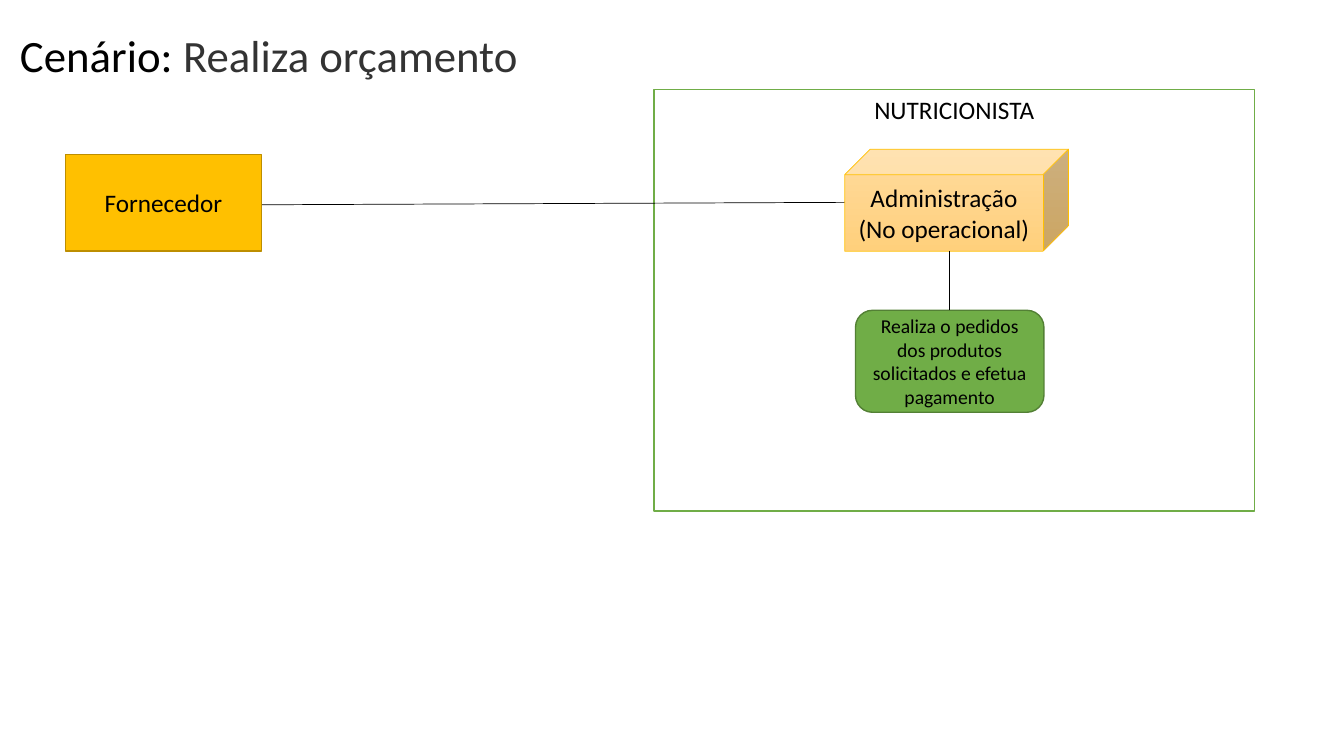
"""Build the slide for the "Realiza orçamento" scenario."""
from lxml import etree
from pptx import Presentation
from pptx import util as u
from pptx.dml.color import RGBColor
from pptx.enum import shapes, text
from pptx.oxml.ns import qn

BLACK = RGBColor(0x00, 0x00, 0x00)
CHARCOAL = RGBColor(0x33, 0x33, 0x33)
WHITE = RGBColor(0xFF, 0xFF, 0xFF)
GREEN = RGBColor(0x70, 0xAD, 0x47)
DARK_GREEN = RGBColor(0x53, 0x80, 0x35)
GOLD = RGBColor(0xFF, 0xC0, 0x00)
DARK_GOLD = RGBColor(0xBD, 0x8E, 0x00)
LIGHT_PEACH = RGBColor(0xFF, 0xDB, 0x9E)
PEACH = RGBColor(0xFF, 0xD0, 0x7C)


class ScenarioSlide:
    font = "Calibri"

    def __init__(self, presentation):
        self.slide = presentation.slides.add_slide(presentation.slide_layouts[5])

    def format_run(self, run, size, color=BLACK):
        run.font.name = self.font
        run.font.size = u.Pt(size)
        run.font.color.rgb = color

    def title(self, box, parts):
        title = self.slide.shapes.title
        title.left, title.top, title.width, title.height = map(u.Cm, box)
        frame = title.text_frame
        frame.auto_size = text.MSO_AUTO_SIZE.NONE
        frame.vertical_anchor = text.MSO_ANCHOR.TOP
        paragraph = frame.paragraphs[0]
        paragraph.alignment = text.PP_ALIGN.JUSTIFY
        for words, color in parts:
            run = paragraph.add_run()
            run.text = words
            self.format_run(run, 32, color)

    def block(self, kind, box, words, fills, border, size=18, width=1,
              anchor=text.MSO_ANCHOR.MIDDLE):
        shape = self.slide.shapes.add_shape(kind, *map(u.Cm, box))
        shape.shadow.inherit = False
        if len(fills) == 1:
            shape.fill.solid()
            shape.fill.fore_color.rgb = fills[0]
        else:
            shape.fill.gradient()
            shape.fill.gradient_angle = 270
            for stop, color in zip(shape.fill.gradient_stops, fills):
                stop.color.rgb = color
        shape.line.color.rgb = border
        shape.line.width = u.Pt(width)
        frame = shape.text_frame
        frame.text = words
        frame.word_wrap = True
        frame.vertical_anchor = anchor
        for paragraph in frame.paragraphs:
            paragraph.alignment = text.PP_ALIGN.CENTER
            for run in paragraph.runs:
                self.format_run(run, size)

    def link(self, start, end):
        connector = self.slide.shapes.add_connector(
            shapes.MSO_CONNECTOR.STRAIGHT, *map(u.Cm, start + end))
        connector.line.color.rgb = BLACK
        connector.line.width = u.Pt(0.5)
        etree.SubElement(connector._element.spPr, qn("a:effectLst"))


presentation = Presentation()
presentation.slide_width = u.Cm(33.87)
presentation.slide_height = u.Cm(19.05)

scenario = ScenarioSlide(presentation)
kinds = shapes.MSO_SHAPE
scenario.title((0.25, 0.56, 13.26, 3),
               [("Cenário: ", BLACK), ("Realiza orçamento", CHARCOAL)])
scenario.block(kinds.RECTANGLE, (16.48, 2.26, 15.14, 10.62), "NUTRICIONISTA",
               [WHITE], GREEN, anchor=text.MSO_ANCHOR.TOP)
scenario.link((6.6, 5.16), (21.29, 5.1))
scenario.block(kinds.CUBE, (21.29, 3.76, 5.64, 2.57),
               "Administração\n(No operacional)",
               [LIGHT_PEACH, PEACH], GOLD, width=0.5)
scenario.block(kinds.RECTANGLE, (1.65, 3.89, 4.94, 2.44), "Fornecedor",
               [GOLD], DARK_GOLD)
scenario.block(kinds.ROUNDED_RECTANGLE, (21.56, 7.82, 4.75, 2.57),
               "Realiza o pedidos dos produtos solicitados e efetua pagamento",
               [GREEN], DARK_GREEN, size=14)
scenario.link((23.93, 7.82), (23.93, 6.33))

presentation.save("out.pptx")
